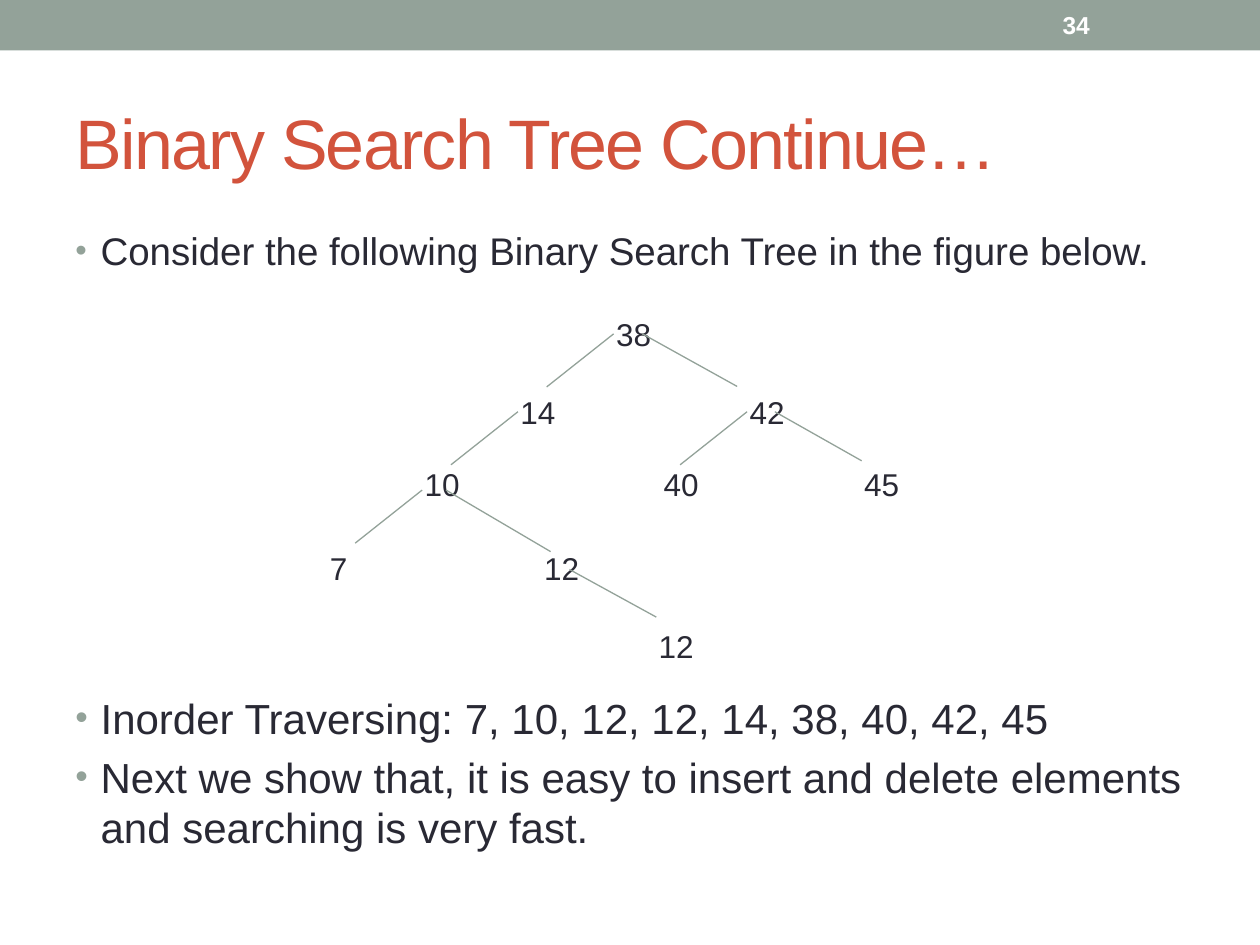
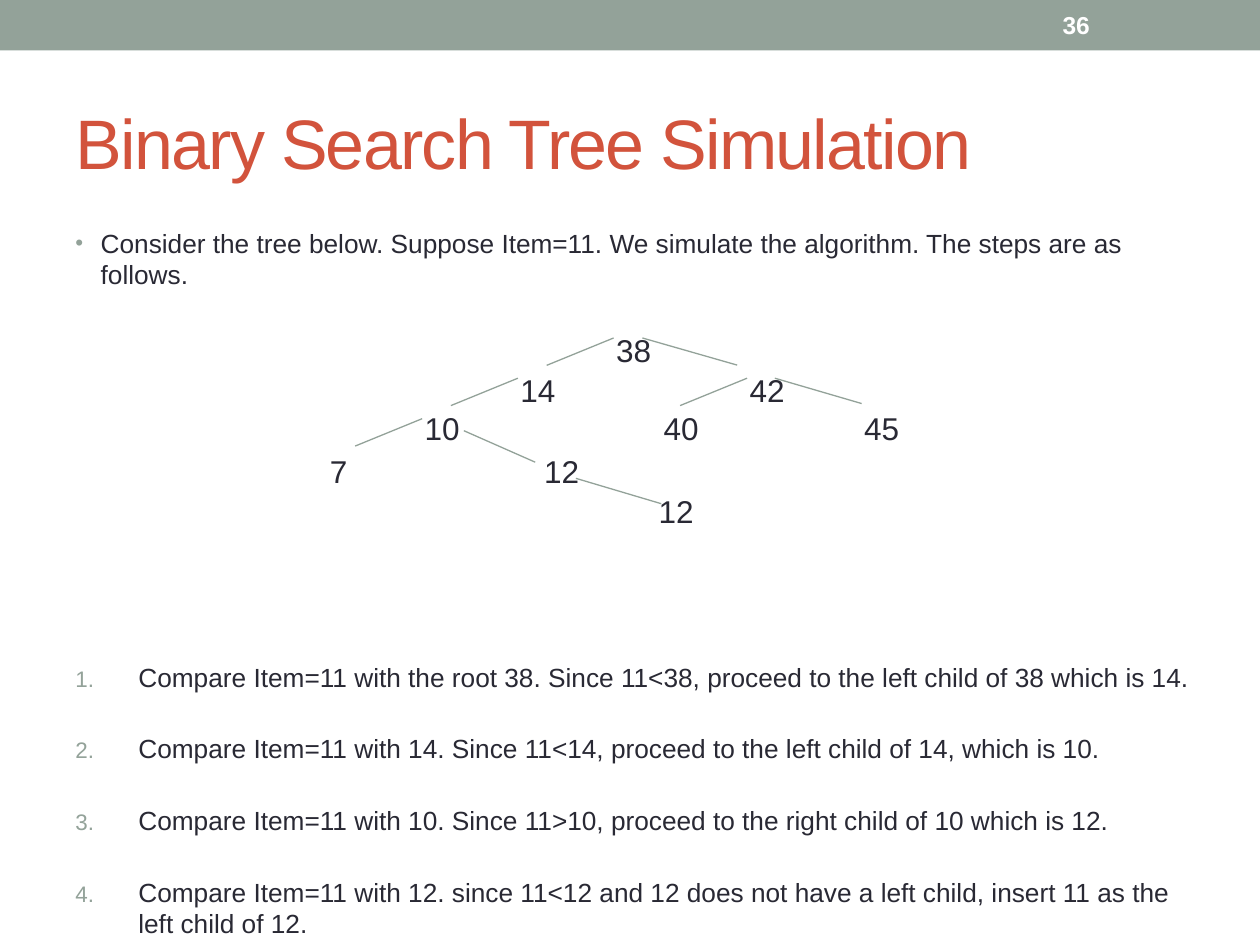
import pptx
import pptx.dml.color
import pptx.enum.shapes
import pptx.enum.text
import pptx.oxml.ns
import pptx.util
from lxml import etree

Cm = pptx.util.Cm
Pt = pptx.util.Pt
RGBColor = pptx.dml.color.RGBColor
qn = pptx.oxml.ns.qn
ANCHOR = pptx.enum.text.MSO_ANCHOR

SAGE = RGBColor(0x93, 0xA2, 0x99)
RUST = RGBColor(0xD2, 0x53, 0x3C)
INK = RGBColor(0x29, 0x29, 0x34)
WHITE = RGBColor(0xFF, 0xFF, 0xFF)
FONT = "Arial"

SLIDE_W, SLIDE_H = 25.4, 19.05
BODY_LEFT, BODY_TOP, BODY_W = 1.27, 4.45, 23.3
TREE_LEFT, TREE_H = 6.4, 7.32
NODE_H = 1.02

NODES = [
    ("38", 5.77, 0, 1.35),
    ("14", 3.84, 1.57, 1.24),
    ("42", 8.46, 1.57, 1.22),
    ("10", 1.91, 3.02, 1.45),
    ("40", 6.73, 3.02, 1.24),
    ("45", 10.77, 3.02, 1.24),
    ("7", 0, 4.72, 0.97),
    ("12", 4.32, 4.72, 1.45),
    ("12", 6.63, 6.3, 1.35),
]
LEFT_STARTS = [(5.97, 0.51), (4.04, 2.08), (8.66, 2.08), (2.11, 3.66)]
LEFT_RUN, LEFT_DROP = -1.35, 1.07
UPPER_RIGHT_EDGES = [(6.55, 0.51, 8.46, 1.57), (9.22, 2.08, 10.97, 3.07)]

TRAVERSAL = [
    "Inorder Traversing: 7, 10, 12, 12, 14, 38, 40, 42, 45",
    "Next we show that, it is easy to insert and delete elements and searching is very fast.",
]
STEPS = [
    "Compare Item=11 with the root 38. Since 11<38, proceed to the left child of 38 which is 14.",
    "Compare Item=11 with 14. Since 11<14, proceed to the left child of 14, which is 10.",
    "Compare Item=11 with 10. Since 11>10, proceed to the right child of 10 which is 12.",
    "Compare Item=11 with 12. since 11<12 and 12 does not have a left child, "
    "insert 11 as the left child of 12.",
]


def style(p, size, color, bold=False):
    """Format every run of a paragraph."""
    for r in p.runs:
        r.font.name = FONT
        r.font.size = Pt(size)
        r.font.bold = bold
        r.font.color.rgb = color


def add_text(s, text, left, top, width, height, size, color, bold=False):
    """Add a one-paragraph text box and return its text frame."""
    tf = s.shapes.add_textbox(Cm(left), Cm(top), Cm(width), Cm(height)).text_frame
    tf.word_wrap = True
    tf.text = text
    style(tf.paragraphs[0], size, color, bold)
    return tf


def set_bullet(p, numbered):
    """Give a paragraph a hanging indent with a dot or a running number."""
    indent = Cm(1.27 if numbered else 0.51)
    pPr = p._p.get_or_add_pPr()
    pPr.set("marL", str(indent))
    pPr.set("indent", str(-indent))
    clr = etree.SubElement(pPr, qn("a:buClr"))
    etree.SubElement(clr, qn("a:srgbClr"), val=str(SAGE))
    etree.SubElement(pPr, qn("a:buSzPct"), val="85000")
    etree.SubElement(pPr, qn("a:buFont"), typeface=FONT)
    if numbered:
        etree.SubElement(pPr, qn("a:buAutoNum"), type="arabicPeriod")
    else:
        etree.SubElement(pPr, qn("a:buChar"), char="•")


def add_list(s, items, top, height, size, gap=0, numbered=False):
    """Add a bulleted or numbered list across the body width."""
    sp = s.shapes.add_textbox(Cm(BODY_LEFT), Cm(top), Cm(BODY_W), Cm(height))
    tf = sp.text_frame
    tf.word_wrap = True
    for i, item in enumerate(items):
        p = tf.add_paragraph() if i else tf.paragraphs[0]
        p.text = item
        p.space_before = Pt(gap if i else 0)
        style(p, size, INK)
        set_bullet(p, numbered)


def add_edge(s, x1, y1, x2, y2):
    """Draw one thin branch of the tree."""
    line = s.shapes.add_connector(
        pptx.enum.shapes.MSO_CONNECTOR.STRAIGHT, Cm(x1), Cm(y1), Cm(x2), Cm(y2))
    line.line.color.rgb = SAGE
    line.line.width = Pt(0.75)
    etree.SubElement(line._element.spPr, qn("a:effectLst"))


def add_tree(s, left, top, height, lower_right_edges):
    """Draw the search tree, squeezed to the height of its box."""
    scale = height / TREE_H
    left_edges = [(x, y, x + LEFT_RUN, y + LEFT_DROP) for x, y in LEFT_STARTS]
    for label, x, y, width in NODES:
        add_text(s, label, left + x, top + y * scale, width, NODE_H * scale, 18, INK)
    for x1, y1, x2, y2 in left_edges + UPPER_RIGHT_EDGES + lower_right_edges:
        add_edge(s, left + x1, top + y1 * scale, left + x2, top + y2 * scale)


def add_slide(prs, title, number):
    """Add a slide with the top band, its number and the title."""
    s = prs.slides.add_slide(prs.slide_layouts[5])
    band = s.shapes.add_shape(
        pptx.enum.shapes.MSO_SHAPE.RECTANGLE, 0, 0, Cm(SLIDE_W), Cm(1.02))
    band.shadow.inherit = False
    band.fill.solid()
    band.fill.fore_color.rgb = SAGE
    band.line.fill.background()
    tf = add_text(s, number, 21.17, 0.05, 2.97, 0.91, 14, WHITE, bold=True)
    tf.vertical_anchor = ANCHOR.MIDDLE

    sp = s.shapes.title
    sp.left, sp.top, sp.width, sp.height = Cm(1.27), Cm(1.49), Cm(22.86), Cm(2.74)
    tf = sp.text_frame
    tf.text = title
    tf.auto_size = pptx.enum.text.MSO_AUTO_SIZE.NONE
    tf.vertical_anchor = ANCHOR.MIDDLE
    p = tf.paragraphs[0]
    p.alignment = pptx.enum.text.PP_ALIGN.LEFT
    style(p, 40, RUST)
    p.runs[0].font._element.set("spc", "-100")
    return s


def add_traversal_slide(prs):
    """Build the slide on traversing the tree in order."""
    s = add_slide(prs, "Binary Search Tree Continue…", "34")
    add_list(s, ["Consider the following Binary Search Tree in the figure below."],
             BODY_TOP, 1.3, 22)
    add_tree(s, TREE_LEFT, 6.22, TREE_H,
             [(2.59, 3.66, 4.7, 4.9), (5.08, 5.26, 6.83, 6.22)])
    add_list(s, TRAVERSAL, 13.83, 4, 24, gap=4.8)


def add_simulation_slide(prs):
    """Build the slide that walks through an insertion."""
    s = add_slide(prs, "Binary Search Tree Simulation", "36")
    add_list(s, ["Consider the tree below. Suppose Item=11. We simulate the algorithm. "
                 "The steps are as follows."], BODY_TOP, 1.6, 15)
    add_tree(s, TREE_LEFT, 6.55, 3.78,
             [(2.95, 4.13, 4.39, 5.36), (5.21, 5.99, 6.93, 6.98)])
    add_list(s, STEPS, 13.2, 5.8, 15, gap=23, numbered=True)


def main():
    """Build and save the presentation."""
    prs = pptx.Presentation()
    prs.slide_width, prs.slide_height = Cm(SLIDE_W), Cm(SLIDE_H)
    add_traversal_slide(prs)
    add_simulation_slide(prs)
    prs.save("out.pptx")


if __name__ == "__main__":
    main()
